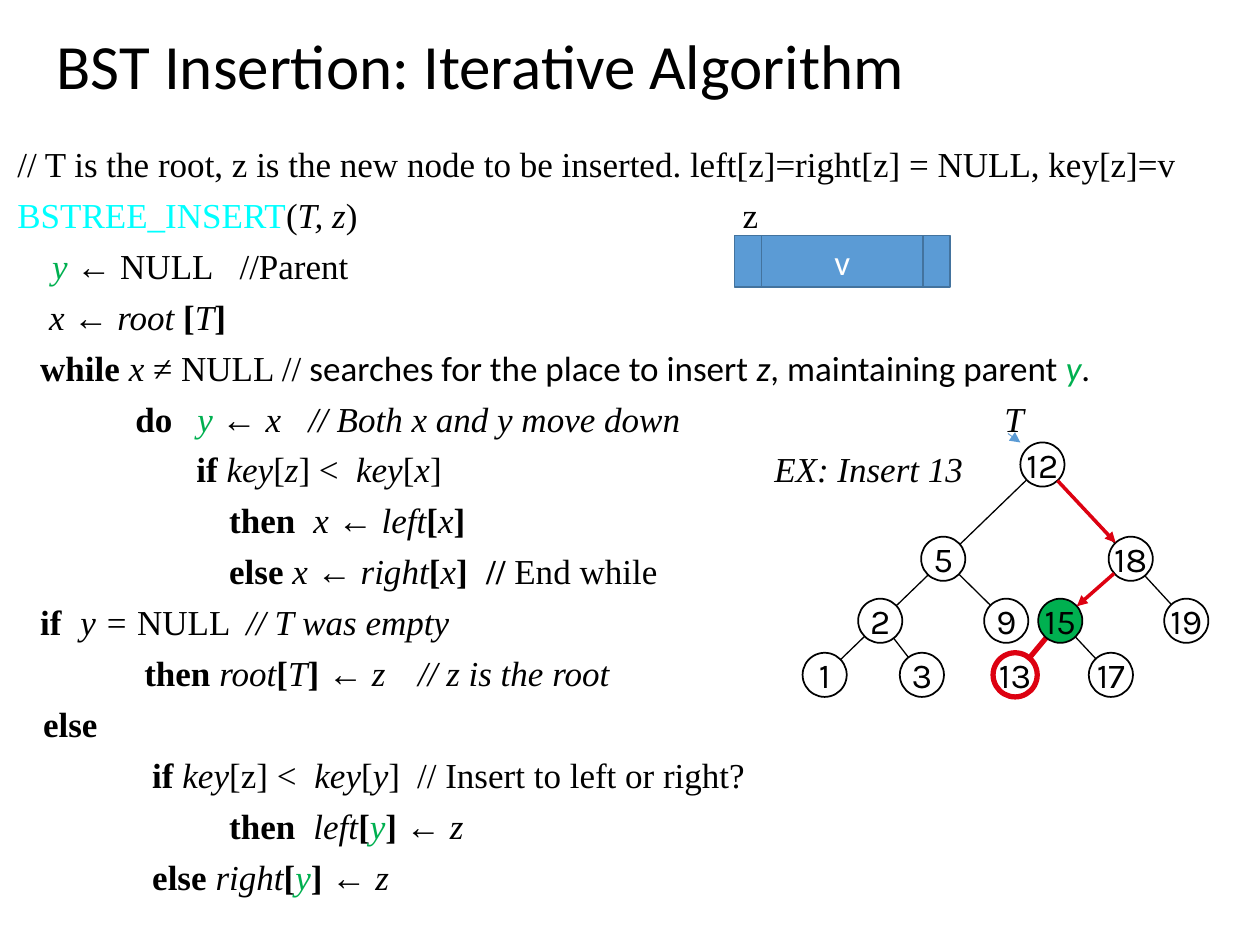
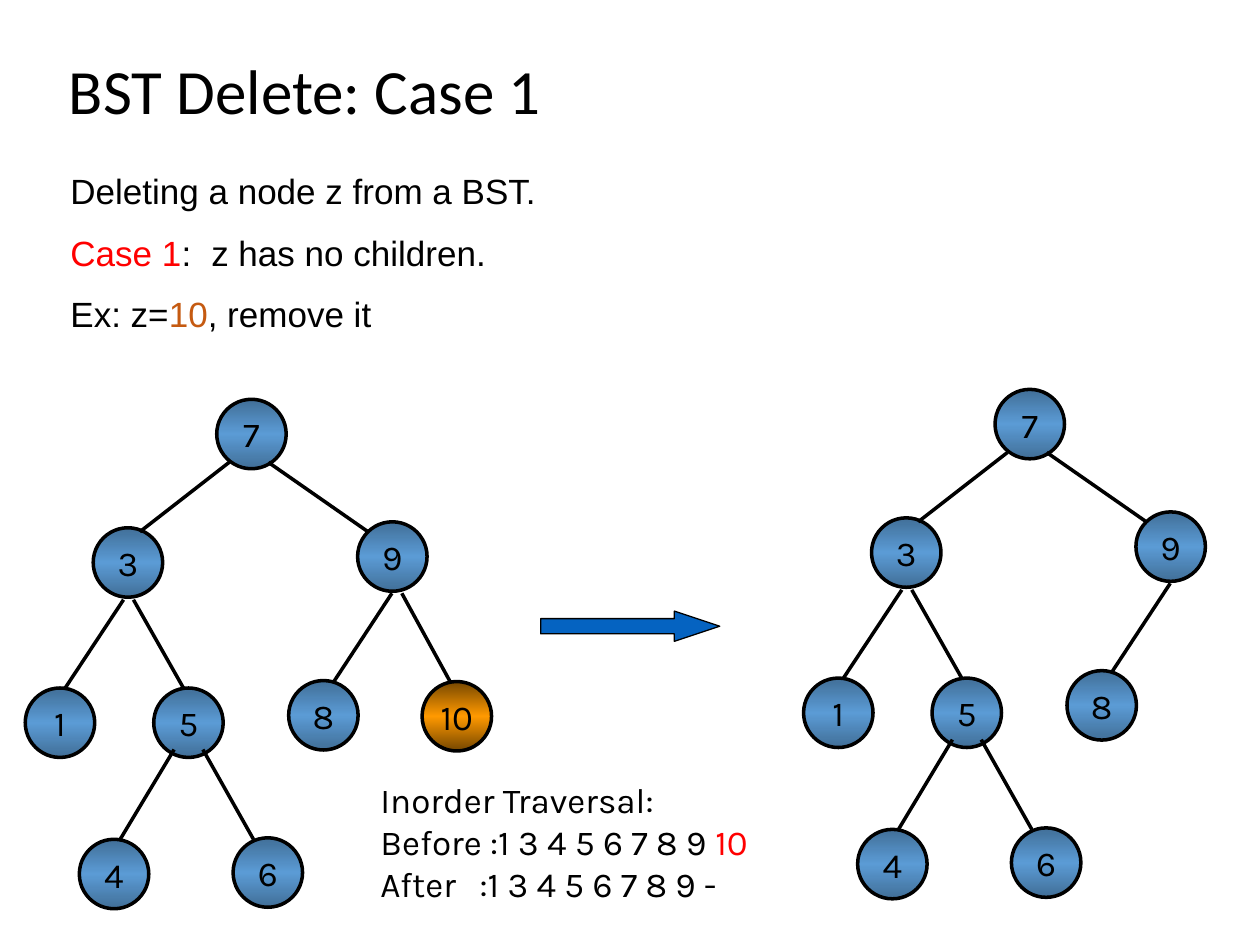
from copy import deepcopy
from dataclasses import dataclass
from math import hypot

from lxml.etree import SubElement
from pptx import Presentation
from pptx.dml.color import RGBColor
from pptx.enum.shapes import MSO_CONNECTOR, MSO_SHAPE
from pptx.enum.text import MSO_ANCHOR, PP_ALIGN
from pptx.oxml.ns import qn
from pptx.util import Cm, Pt


@dataclass(frozen=True)
class Theme:
    black: str = "000000"
    white: str = "FFFFFF"
    cyan: str = "00FFFF"
    green: str = "00B050"
    red: str = "FF0000"
    path_red: str = "DD0111"
    brown: str = "C55A11"
    blue: str = "5B9BD5"
    blue_dark: str = "416F98"
    blue_edge: str = "43739E"
    orange: str = "FF9900"
    orange_dark: str = "764700"
    arrow_blue: str = "0563C1"
    title_font: str = "Calibri"
    code_font: str = "Times New Roman"
    text_font: str = "Arial"
    node_font: str = "Karla"
    title_size: int = 36
    text_size: int = 20


THEME = Theme()

STYLES = {
    "p": {},
    "b": {"bold": True},
    "i": {"italic": True},
    "g": {"italic": True, "color": THEME.green},
    "c": {"color": THEME.cyan},
    "r": {"color": THEME.red},
    "o": {"color": THEME.brown},
    "s": {"font": THEME.title_font},
    "t": {"font": THEME.title_font, "italic": True},
    "h": {"font": THEME.title_font, "italic": True, "color": THEME.green},
}

INSERT_TITLE = "BST Insertion: Iterative Algorithm"
INSERT_CODE = [
    ("p:// T is the root, z is the new node to be inserted. left[z]=right[z] = NULL, key[z]=v", []),
    ("c:BSTREE_INSERT|p:(|i:T, z|p:)\tz", [14.62]),
    ("g:\ty|p: ← NULL\t//Parent", [0.7, 4.48]),
    ("i:\tx |p:← |i:root |b:[|i:T|b:]", [0.64]),
    ("b:\twhile |i:x |p:≠ NULL //|s: searches for the place to insert |t:z"
     "|s:, maintaining parent |h:y|s:.", [0.46]),
    ("b:\tdo\t|g:y |p:← |i:x\t// Both x and y move down\tT", [2.38, 3.63, 5.87, 19.9]),
    ("b:\tif |i:key|p:[|i:z|p:] <\t|i:key|p:[|i:x|p:]\t|i:EX: Insert 13", [3.61, 6.83, 15.26]),
    ("b:\tthen\t|i:x |p:← |i:left|b:[|i:x|b:]", [4.27, 5.97]),
    ("b:\telse |i:x |p:← |i:right|b:[|i:x|b:]\t// |p:End while", [4.27, 9.45]),
    ("b:\tif\t|i:y = |p:NULL\t|i:// T was empty", [0.46, 1.27, 4.62]),
    ("b:\tthen |i:root|b:[|i:T|b:] |p:← |i:z\t// z is the root", [2.56, 8.08]),
    ("b:\telse", [0.52]),
    ("b:\tif |i:key|p:[z] <\t|i:key|p:[|i:y|p:]\t// Insert to left or right?", [2.72, 5.99, 8.06]),
    ("b:\tthen\t|i:left|b:[|g:y|b:] |p:← |i:z", [4.27, 5.97]),
    ("b:\telse |i:right|b:[|g:y|b:] |p:← |i:z", [2.72]),
]

INSERT_DIAMETER = 0.89
INSERT_LEVELS = [
    (8.92, {"12": 20.57}),
    (10.82, {"5": 18.57, "18": 22.35}),
    (12.07, {"2": 17.3, "9": 19.84, "15": 20.93, "19": 23.47}),
    (13.16, {"1": 16.18, "3": 18.14, "13": 20.02, "17": 21.95}),
]
INSERT_BRANCHES = [("17", "15"), ("15", "18"), ("3", "2"), ("9", "5"), ("19", "12"), ("1", "12")]
SEARCH_STEPS = [("12", "18"), ("18", "15")]
NEW_NODE, NEW_PARENT = "13", "15"

DELETE_TITLE = "BST Delete: Case 1"
DELETE_TEXT = [
    ("p:Deleting a node z from a BST.", []),
    ("r:Case 1|p::\tz has no children.", [2.84]),
    ("p:Ex: z=|o:10|p:, remove it", []),
]
TRAVERSAL_TEXT = [
    ("p:Inorder Traversal:", []),
    ("p:Before :1 3 4 5 6 7 8 9 |r:10", []),
    ("p:After\t:1 3 4 5 6 7 8 9 -", [2]),
]

DELETE_DIAMETER = 1.4
DELETE_NODES = {
    "7": (4.37, 8.05), "3": (1.88, 10.64), "9": (7.21, 10.52),
    "1": (0.51, 13.87), "5": (3.1, 13.87), "8": (5.82, 13.72),
    "10": (8.51, 13.74), "4": (1.6, 16.92), "6": (4.7, 16.89),
}
BRANCH_TO = {
    "3": (4.62, 9.32, 2.82, 10.72), "9": (5.41, 9.32, 7.42, 10.72),
    "1": (2.49, 12.09, 1.3, 13.89), "5": (2.69, 12.09, 3.71, 13.89),
    "8": (7.9, 11.96, 6.71, 13.77), "10": (8.1, 11.96, 9.09, 13.77),
    "4": (3.51, 15.11, 2.41, 16.94), "6": (4.09, 15.11, 5.11, 16.92),
}
DELETED_NODE = "10"
AFTER_SHIFT = (15.69, -0.2)


def rgb(color):
    return RGBColor.from_string(color)


def format_run(run, font, size=THEME.text_size, color=THEME.black, bold=False, italic=False):
    run.font.name = font
    run.font.size = Pt(size)
    run.font.color.rgb = rgb(color)
    run.font.bold = bold
    run.font.italic = italic


def add_rich_text(slide, box, lines, font, space_before=0, line_spacing=1.0):
    shape = slide.shapes.add_textbox(*map(Cm, box))
    text_frame = shape.text_frame
    text_frame.word_wrap = True
    for index, (markup, stops) in enumerate(lines):
        paragraph = text_frame.paragraphs[0] if index == 0 else text_frame.add_paragraph()
        paragraph.line_spacing = line_spacing
        paragraph.space_before = Pt(space_before)
        for segment in markup.split("|"):
            style, _, text = segment.partition(":")
            run = paragraph.add_run()
            run.text = text
            format_run(run, **{"font": font, **STYLES[style]})
        if stops:
            tab_list = SubElement(paragraph._p.get_or_add_pPr(), qn("a:tabLst"))
            for stop in stops:
                SubElement(tab_list, qn("a:tab"), pos=str(Cm(stop)), algn="l")


def add_title(slide, text, box):
    shape = slide.shapes.add_textbox(*map(Cm, box))
    text_frame = shape.text_frame
    text_frame.word_wrap = True
    text_frame.vertical_anchor = MSO_ANCHOR.MIDDLE
    text_frame.text = text
    paragraph = text_frame.paragraphs[0]
    paragraph.line_spacing = 0.9
    format_run(paragraph.runs[0], THEME.title_font, THEME.title_size)


def add_line(slide, ends, color=THEME.black, width=2.0, arrow=False):
    connector = slide.shapes.add_connector(MSO_CONNECTOR.STRAIGHT, *map(Cm, ends))
    connector.line.color.rgb = rgb(color)
    connector.line.width = Pt(width)
    if arrow:
        SubElement(connector.line._get_or_add_ln(), qn("a:tailEnd"), type="triangle")
    SubElement(connector._element.spPr, qn("a:effectLst"))


def add_figure(slide, kind, box, fill, line, width):
    shape = slide.shapes.add_shape(kind, *map(Cm, box))
    shape.shadow.inherit = False
    if isinstance(fill, tuple):
        set_gradient(shape, *fill)
    else:
        shape.fill.solid()
        shape.fill.fore_color.rgb = rgb(fill)
    shape.line.color.rgb = rgb(line)
    shape.line.width = Pt(width)
    return shape


def set_gradient(shape, edge, middle):
    shape.fill.gradient()
    shape.fill.gradient_angle = 90
    stop_list = shape._element.spPr.find(qn("a:gradFill")).find(qn("a:gsLst"))
    stop_list.insert(1, deepcopy(stop_list[0]))
    for stop, color, position in zip(shape.fill.gradient_stops, (edge, middle, edge), (0, 0.5, 1)):
        stop.color.rgb = rgb(color)
        stop.position = position


def set_label(shape, text, font, color=THEME.black):
    text_frame = shape.text_frame
    text_frame.margin_left = text_frame.margin_right = 0
    text_frame.margin_top = text_frame.margin_bottom = 0
    text_frame.word_wrap = False
    text_frame.vertical_anchor = MSO_ANCHOR.MIDDLE
    text_frame.text = text
    paragraph = text_frame.paragraphs[0]
    paragraph.alignment = PP_ALIGN.CENTER
    format_run(paragraph.runs[0], font, color=color)


def add_node(slide, key, left, top, diameter, fill, line=THEME.black, width=2.0):
    box = (left, top, diameter, diameter)
    node = add_figure(slide, MSO_SHAPE.OVAL, box, fill, line, width)
    set_label(node, key, THEME.node_font)


def rim_to_rim(start, end, radius):
    (x1, y1), (x2, y2) = start, end
    ratio = radius / hypot(x2 - x1, y2 - y1)
    dx, dy = (x2 - x1) * ratio, (y2 - y1) * ratio
    return x1 + dx, y1 + dy, x2 - dx, y2 - dy


def draw_insert_tree(slide):
    radius = INSERT_DIAMETER / 2
    corners = {key: (left, top) for top, row in INSERT_LEVELS for key, left in row.items()}
    centers = {key: (left + radius, top + radius) for key, (left, top) in corners.items()}
    add_line(slide, centers[NEW_NODE] + centers[NEW_PARENT], THEME.path_red, 3)
    for child, ancestor in INSERT_BRANCHES:
        add_line(slide, centers[child] + centers[ancestor], width=0.75)
    for key, (left, top) in corners.items():
        fill = THEME.green if key == NEW_PARENT else THEME.white
        line, width = (THEME.path_red, 3) if key == NEW_NODE else (THEME.black, 1)
        add_node(slide, key, left, top, INSERT_DIAMETER, fill, line, width)
    for start, end in SEARCH_STEPS:
        ends = rim_to_rim(centers[start], centers[end], radius)
        add_line(slide, ends, THEME.path_red, arrow=True)


def draw_delete_tree(slide, shift=(0, 0), removed=None):
    dx, dy = shift
    for key, (left, top) in DELETE_NODES.items():
        if key != removed:
            fill = (THEME.blue_dark, THEME.blue)
            if key == DELETED_NODE:
                fill = (THEME.orange_dark, THEME.orange)
            add_node(slide, key, left + dx, top + dy, DELETE_DIAMETER, fill)
    for key, (x1, y1, x2, y2) in BRANCH_TO.items():
        if key != removed:
            add_line(slide, (x1 + dx, y1 + dy, x2 + dx, y2 + dy))


def build_insert_slide(slide):
    add_title(slide, INSERT_TITLE, (0.89, 0.13, 24.51, 2.54))
    add_rich_text(slide, (0.1, 2.84, 24.69, 16.2), INSERT_CODE, THEME.code_font, 7.5, 0.9)
    draw_insert_tree(slide)
    add_line(slide, (20.32, 8.74, 20.57, 8.92), THEME.blue, 0.5, arrow=True)
    record = add_figure(slide, MSO_SHAPE.FLOWCHART_PREDEFINED_PROCESS,
                        (14.81, 4.75, 4.34, 1.04), THEME.blue, THEME.blue_edge, 1)
    set_label(record, "v", THEME.title_font, THEME.white)


def build_delete_slide(slide):
    add_title(slide, DELETE_TITLE, (1.14, 0, 21.64, 3.81))
    add_rich_text(slide, (1.17, 3.3, 16.18, 3.68), DELETE_TEXT, THEME.text_font, 11)
    draw_delete_tree(slide)
    draw_delete_tree(slide, AFTER_SHIFT, DELETED_NODE)
    arrow = add_figure(slide, MSO_SHAPE.RIGHT_ARROW, (10.9, 12.32, 3.61, 0.61),
                       THEME.arrow_blue, THEME.black, 0.75)
    arrow.adjustments[1] = 1.5
    add_rich_text(slide, (7.42, 15.57, 9.09, 2.82), TRAVERSAL_TEXT, THEME.node_font)


def main():
    presentation = Presentation()
    presentation.slide_width, presentation.slide_height = Cm(25.4), Cm(19.05)
    for build in (build_insert_slide, build_delete_slide):
        build(presentation.slides.add_slide(presentation.slide_layouts[6]))
    presentation.save("out.pptx")


if __name__ == "__main__":
    main()
